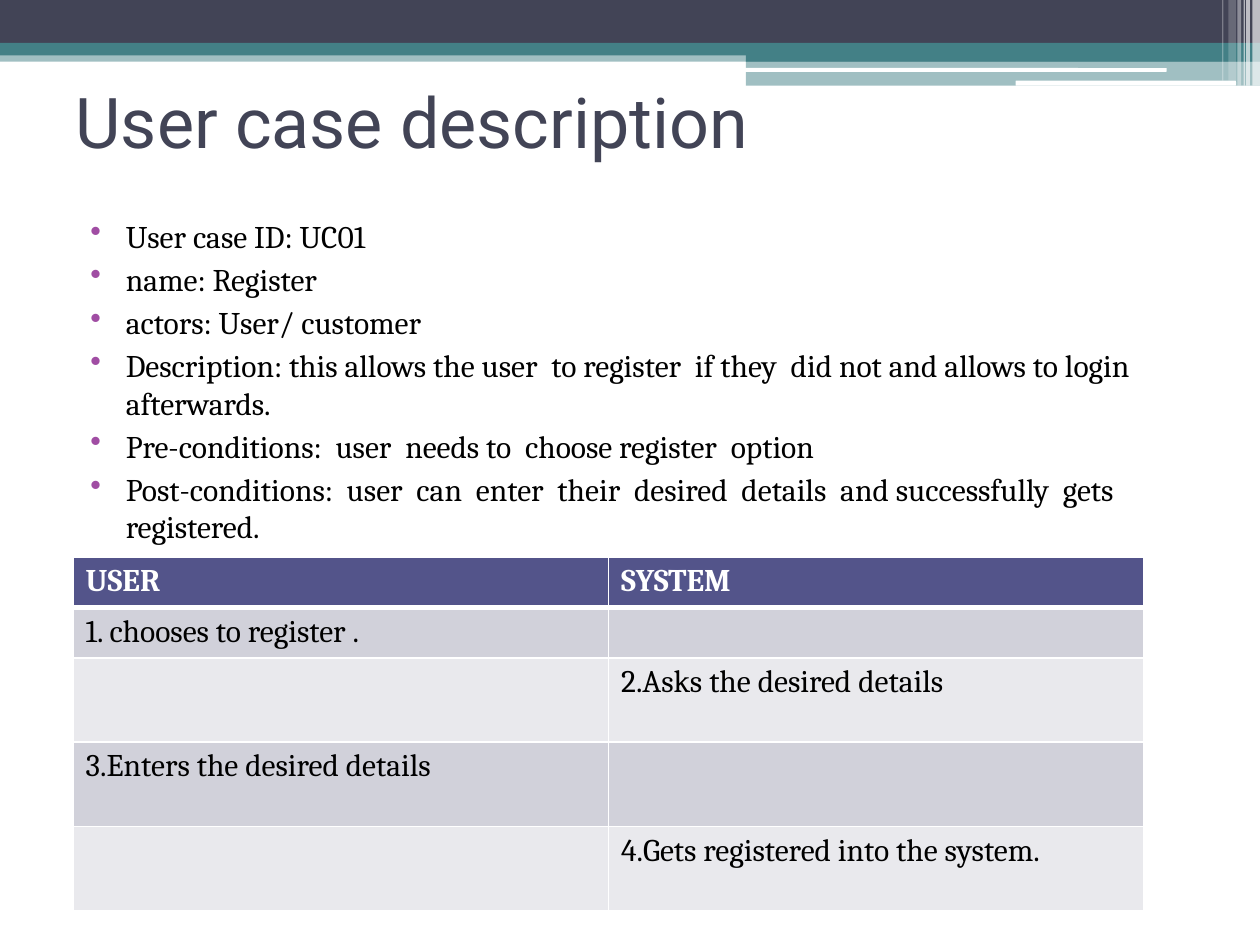
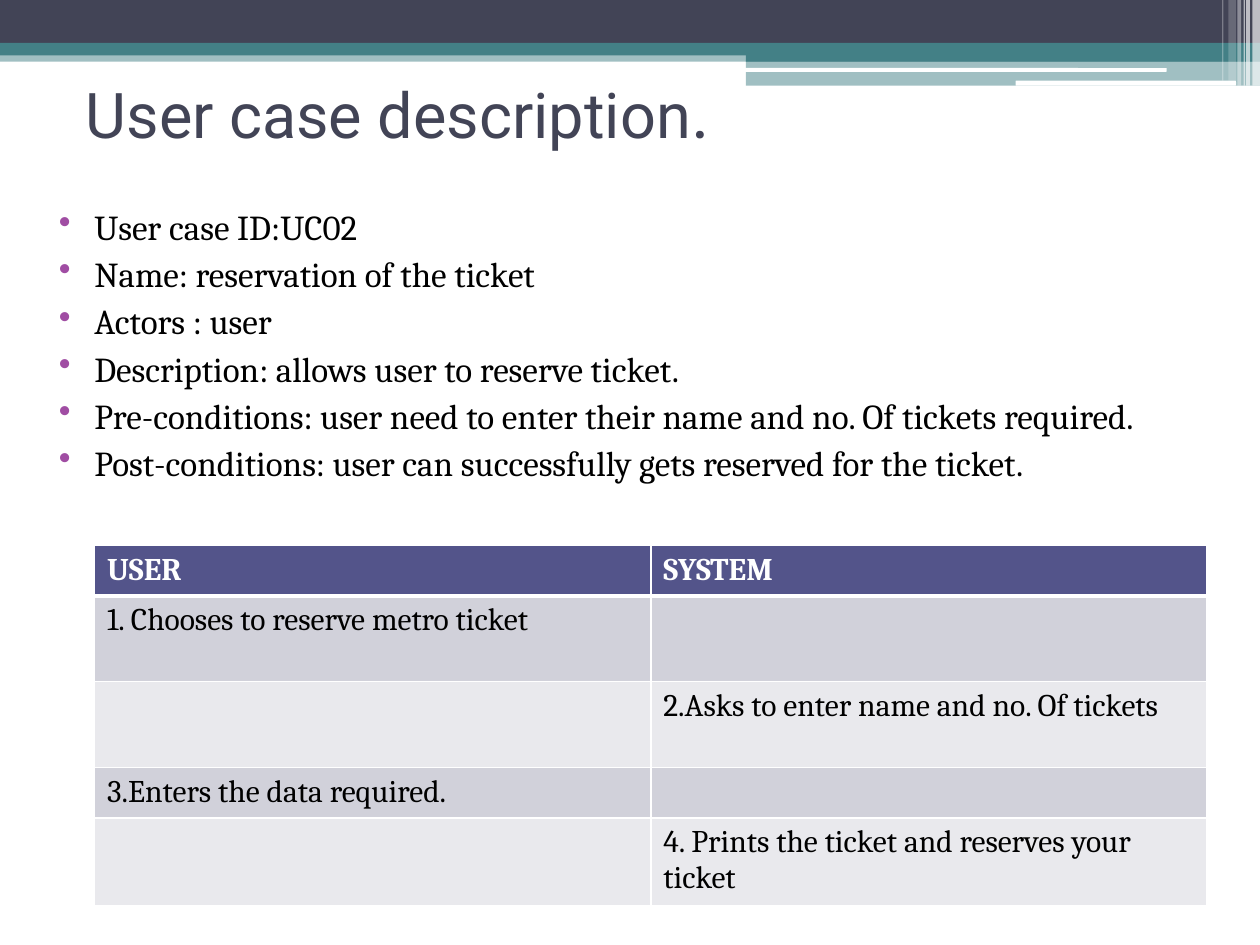
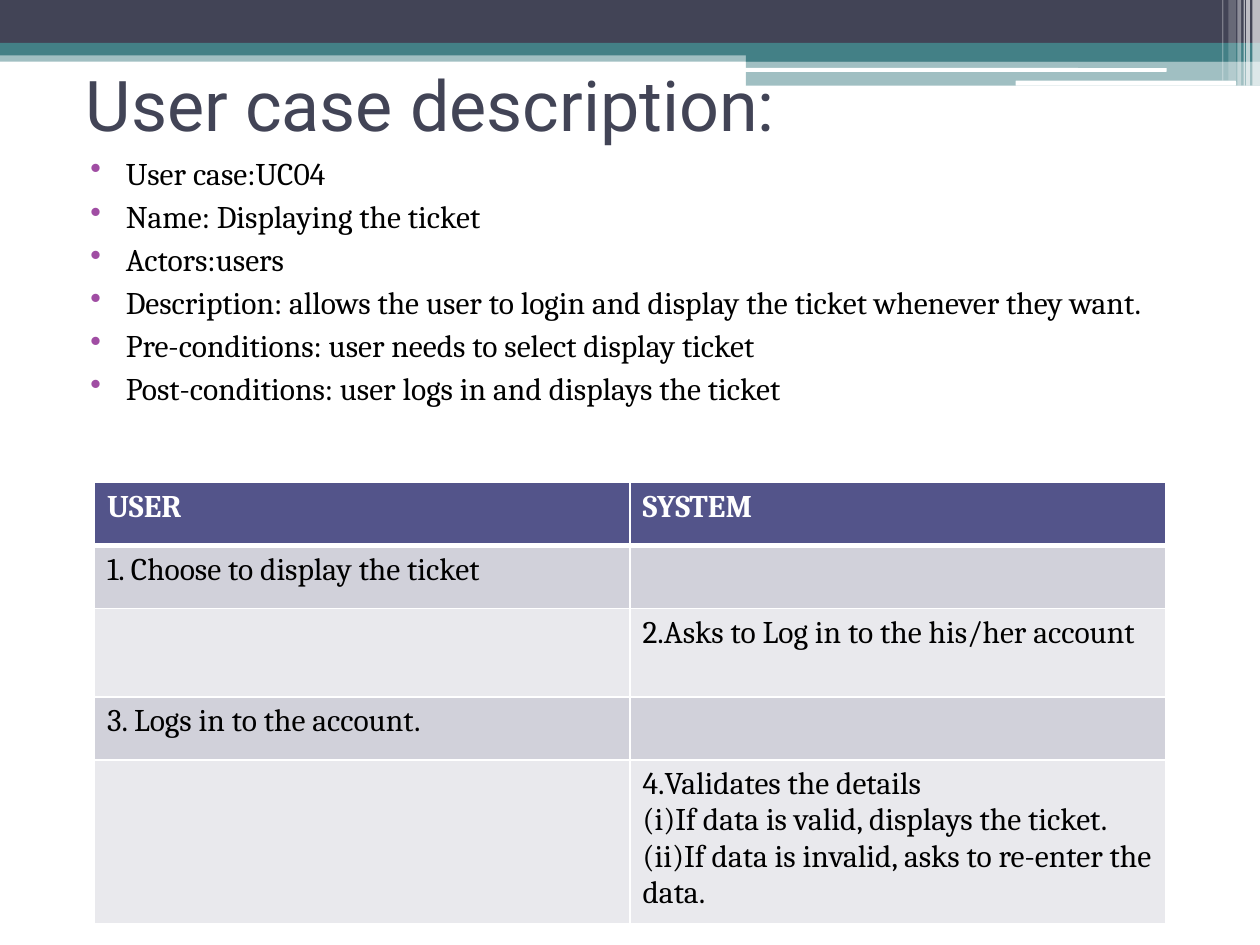
"""Builds three use case slides, each with a fact list and a user/system dialogue table."""
from dataclasses import dataclass

from lxml import etree
from pptx import Presentation
from pptx.dml.color import RGBColor
from pptx.enum.shapes import MSO_SHAPE
from pptx.enum.text import MSO_ANCHOR, MSO_AUTO_SIZE, PP_ALIGN
from pptx.oxml.ns import qn
from pptx.util import Inches, Pt

RECT, ROUNDED = MSO_SHAPE.RECTANGLE, MSO_SHAPE.ROUNDED_RECTANGLE
MIDDLE, LEFT, NO_FIT = MSO_ANCHOR.MIDDLE, PP_ALIGN.LEFT, MSO_AUTO_SIZE.NONE
WIDTH, HEIGHT = 10, 7.5
TITLE_ONLY = 5


@dataclass(frozen=True)
class Theme:
    """Colours, fonts, type sizes and line widths."""
    slate: str = "424456"
    teal: str = "438086"
    white: str = "FFFFFF"
    ink: str = "000000"
    bullet: str = "A04DA3"
    header: str = "53548A"
    rows: tuple = ("D1D1DA", "E9E9ED")
    title_font: str = "Roboto"
    body_font: str = "Cambria"
    title_size: int = 40
    body_size: int = 18
    gap: int = 3
    rule: int = 1
    header_rule: int = 3


THEME = Theme()
SPLIT = 5.92
BANDS = [
    (RECT, (0, 0.4, WIDTH, 0.09), THEME.teal, 50),
    (RECT, (0, 0, WIDTH, 0.34), THEME.slate, 100),
    (RECT, (0, 0.34, WIDTH, 0.1), THEME.teal, 100),
    (RECT, (SPLIT, 0.39, WIDTH - SPLIT, 0.1), THEME.teal, 100),
    (RECT, (SPLIT, 0.48, WIDTH - SPLIT, 0.2), THEME.teal, 50),
    (ROUNDED, (5.91, 0.54, 3.35, 0.03), THEME.white, 100),
    (ROUNDED, (8.06, 0.64, 1.75, 0.04), THEME.white, 100),
]
STRIPES = [
    (9.94, 0.06, 0.68, 65), (9.89, 0.03, 0.68, 65), (9.87, 0.01, 0.68, 60),
    (9.82, 0.03, 0.68, 40), (9.75, 0.06, 0.64, 20), (9.7, 0.01, 0.64, 30),
]
ACTORS = ("USER", "SYSTEM")
USE_CASES = [
    {
        "title": [("User case description", 40)],
        "title_box": (0.5, 0.33, 9, 1.25),
        "facts": [
            "User case ID: UC01",
            "name: Register",
            "actors: User/ customer",
            "Description: this allows the user  to register  if they  did not and allows to login afterwards.",
            "Pre-conditions:  user  needs to  choose register  option",
            "Post-conditions:  user  can  enter  their  desired  details  and successfully  gets  registered.",
        ],
        "facts_box": (0.5, 1.67, 9, 4.8),
        "facts_size": THEME.body_size,
        "steps": ["1. chooses to register .", "2.Asks the desired details",
                  "3.Enters the desired details", "4.Gets registered into the system."],
        "table_at": (0.58, 4.42, 8.5),
        "row_heights": (0.39, 0.39, 0.67, 0.67, 0.67),
    },
    {
        "title": [("User case description", 36), (".", 40)],
        "title_box": (0.58, 0.25, 9, 1.25),
        "facts": [
            "User case ID:UC02",
            "Name: reservation of the ticket",
            "Actors : user",
            "Description: allows user to reserve ticket.",
            "Pre-conditions: user need to enter their name and no. Of tickets required.",
            "Post-conditions: user can successfully gets reserved for the ticket.",
        ],
        "facts_box": (0.25, 1.58, 9, 4.8),
        "facts_size": 20,
        "steps": ["1. Chooses to reserve metro ticket", "2.Asks to enter name and no. Of tickets",
                  "3.Enters the data required.", "4. Prints the ticket and reserves your ticket"],
        "table_at": (0.75, 4.33, 8.83),
        "row_heights": (0.39, 0.68, 0.68, 0.39, 0.68),
    },
    {
        "title": [("User case description:", 40)],
        "title_box": (0.58, 0.33, 8.17, 0.98),
        "facts": [
            "User case:UC04",
            "Name: Displaying the ticket",
            "Actors:users",
            "Description: allows the user to login and display the ticket whenever they want.",
            "Pre-conditions: user needs to select display ticket",
            "Post-conditions: user logs in and displays the ticket",
        ],
        "facts_box": (0.5, 1.17, 9, 5.42),
        "facts_size": THEME.body_size,
        "steps": ["1. Choose to display the ticket", "2.Asks to Log in to the his/her account",
                  "3. Logs in to the account.",
                  "4.Validates the details\n(i)If data is valid, displays the ticket.\n"
                  "(ii)If data is invalid, asks to re-enter the data."],
        "table_at": (0.75, 3.83, 8.5),
        "row_heights": (0.5, 0.5, 0.7, 0.5, 1.29),
    },
]


def inches(lengths):
    """Convert a sequence of numbers to inches."""
    return [Inches(length) for length in lengths]


def write(paragraph, text, size=THEME.body_size, color=THEME.ink, font=THEME.body_font, bold=False):
    """Add one formatted run to a paragraph."""
    run = paragraph.add_run()
    run.text = text
    run.font.size, run.font.name, run.font.bold = Pt(size), font, bold
    run.font.color.rgb = RGBColor.from_string(color)


def paragraphs(frame, count):
    """Return the frame's paragraphs, extended to the given count."""
    return [frame.paragraphs[0]] + [frame.add_paragraph() for _ in range(count - 1)]


def add_band(slide, layout, kind, box, color, opacity):
    """Draw one band and move it behind everything in the shared layout."""
    band = slide.shapes.add_shape(kind, *inches(box))
    band.shadow.inherit = False
    band.fill.solid()
    band.fill.fore_color.rgb = RGBColor.from_string(color)
    band.line.fill.background()
    if opacity < 100:
        tint = band.element.find(".//" + qn("a:srgbClr"))
        etree.SubElement(tint, qn("a:alpha"), val=str(opacity * 1000))
    layout.shapes.element.append(band.element)


def add_title(slide, runs, box):
    """Place the title and write its runs."""
    title = slide.shapes.title
    title.left, title.top, title.width, title.height = inches(box)
    frame = title.text_frame
    frame.auto_size, frame.vertical_anchor, frame.word_wrap = NO_FIT, MIDDLE, True
    heading = frame.paragraphs[0]
    heading.alignment = LEFT
    for text, size in runs:
        write(heading, text, size=size, color=THEME.slate, font=THEME.title_font)


def add_facts(slide, facts, box, size):
    """Add the bulleted facts of a use case."""
    frame = slide.shapes.add_textbox(*inches(box)).text_frame
    frame.word_wrap = True
    for paragraph, fact in zip(paragraphs(frame, len(facts)), facts):
        paragraph.space_before = Pt(THEME.gap)
        write(paragraph, fact, size=size)
        properties = paragraph._p.get_or_add_pPr()
        properties.set("marL", str(Inches(0.4)))
        properties.set("indent", str(Inches(-0.28)))
        tint = etree.SubElement(properties, qn("a:buClr"))
        etree.SubElement(tint, qn("a:srgbClr"), val=THEME.bullet)
        etree.SubElement(properties, qn("a:buChar"), char="•")


def rule_cell(cell, widths):
    """Give a cell white left, right, top and bottom borders."""
    properties = cell._tc.get_or_add_tcPr()
    for index, (side, width) in enumerate(zip("LRTB", widths)):
        border = etree.Element(qn("a:ln" + side), w=str(Pt(width)))
        fill = etree.SubElement(border, qn("a:solidFill"))
        etree.SubElement(fill, qn("a:srgbClr"), val=THEME.white)
        properties.insert(index, border)


def add_dialogue(slide, steps, at, row_heights):
    """Add the table in which user and system take turns."""
    left, top, width = at
    turns = [(step, "") if i % 2 == 0 else ("", step) for i, step in enumerate(steps)]
    rows = [ACTORS] + turns
    table = slide.shapes.add_table(len(rows), len(ACTORS),
                                   *inches((left, top, width, sum(row_heights)))).table
    for column in table.columns:
        column.width = Inches(width / len(ACTORS))
    for r, (texts, height) in enumerate(zip(rows, row_heights)):
        is_header = r == 0
        table.rows[r].height = Inches(height)
        above = THEME.header_rule if r == 1 else THEME.rule
        below = THEME.header_rule if is_header else THEME.rule
        for c, text in enumerate(texts):
            cell = table.cell(r, c)
            cell.fill.solid()
            cell.fill.fore_color.rgb = RGBColor.from_string(
                THEME.header if is_header else THEME.rows[(r - 1) % 2])
            rule_cell(cell, (THEME.rule, THEME.rule, above, below))
            lines = text.split("\n") if text else []
            for paragraph, line in zip(paragraphs(cell.text_frame, len(lines)), lines):
                write(paragraph, line, bold=is_header,
                      color=THEME.white if is_header else THEME.ink)


def main():
    """Build and save the presentation."""
    deck = Presentation()
    deck.slide_width, deck.slide_height = inches((WIDTH, HEIGHT))
    layout = deck.slide_layouts[TITLE_ONLY]
    slides = [deck.slides.add_slide(layout) for _ in USE_CASES]
    stripes = [(RECT, (x, 0, width, height), THEME.white, opacity)
               for x, width, height, opacity in STRIPES]
    for band in BANDS + stripes:
        add_band(slides[0], layout, *band)
    for slide, case in zip(slides, USE_CASES):
        add_title(slide, case["title"], case["title_box"])
        add_facts(slide, case["facts"], case["facts_box"], case["facts_size"])
        add_dialogue(slide, case["steps"], case["table_at"], case["row_heights"])
    deck.save("out.pptx")


if __name__ == "__main__":
    main()
